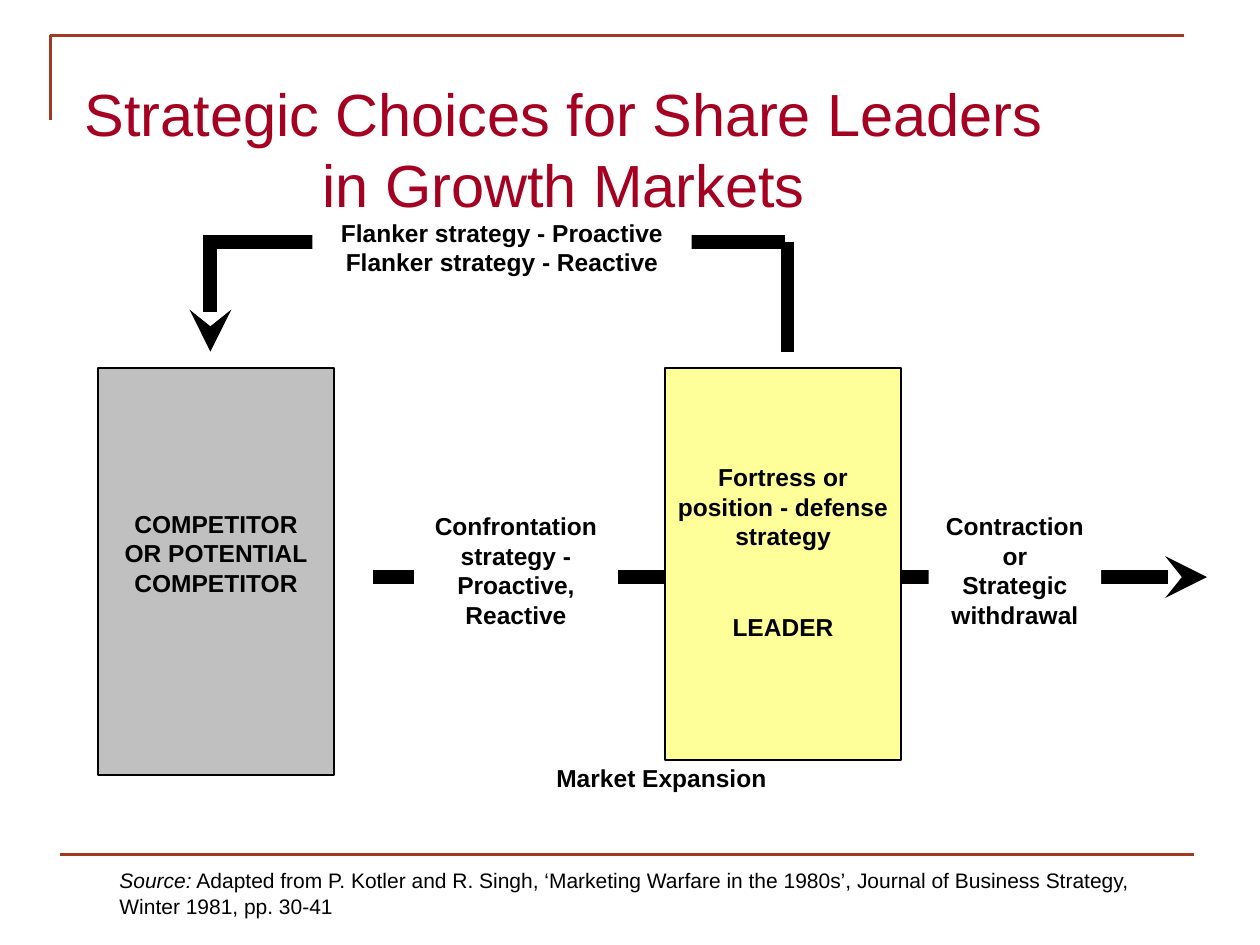
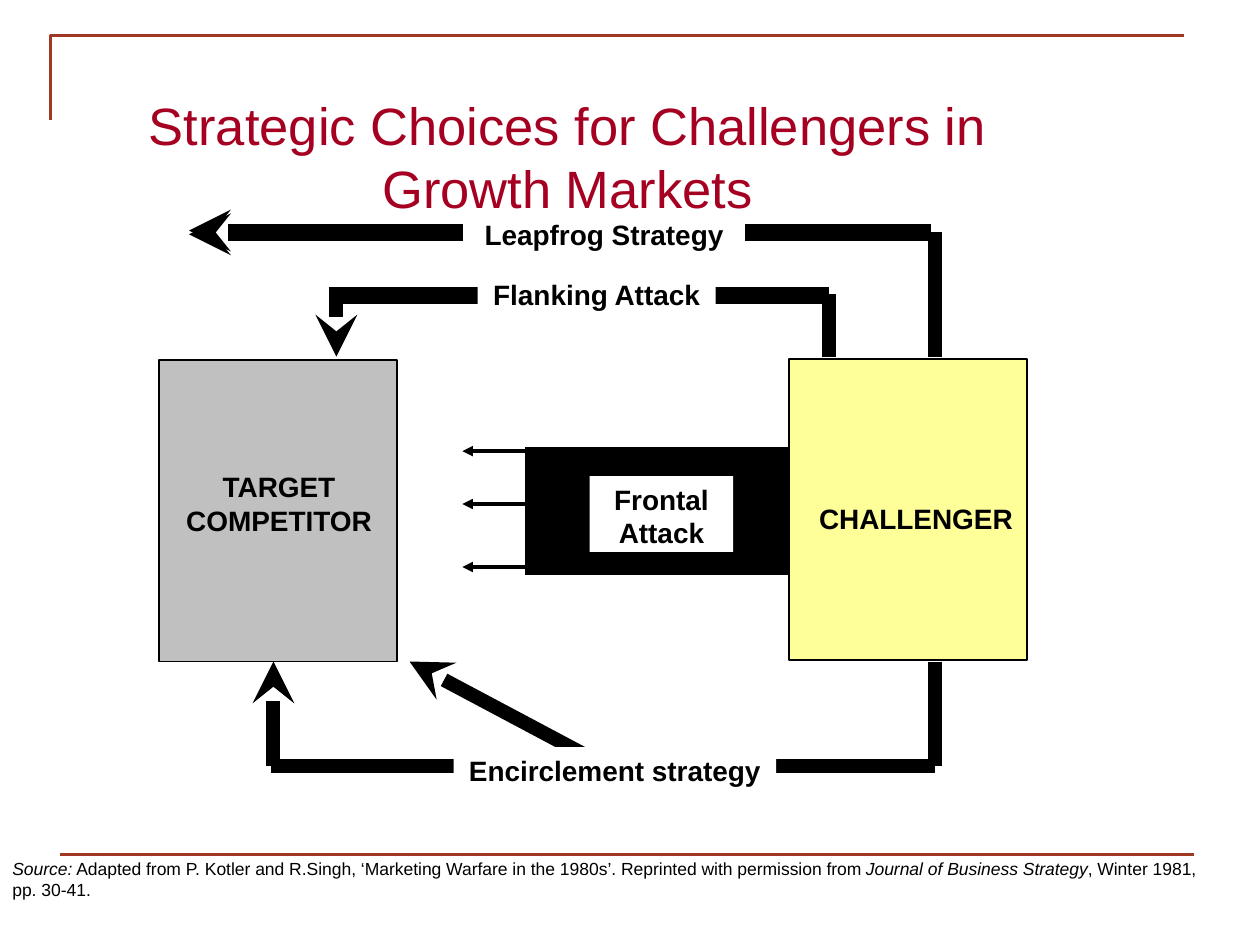
from dataclasses import dataclass

from lxml import etree
from pptx import Presentation
from pptx.dml.color import RGBColor
from pptx.enum.shapes import MSO_CONNECTOR, MSO_SHAPE
from pptx.enum.text import MSO_ANCHOR, MSO_AUTO_SIZE, PP_ALIGN
from pptx.oxml.ns import qn
from pptx.slide import Slide, SlideLayout
from pptx.util import Inches, Pt

FONT = "Arial"
COLORS = {
    "title": "A50021",
    "frame": "A03924",
    "ink": "000000",
    "rival": "C0C0C0",
    "own": "FFFF99",
    "paper": "FFFFFF",
}


@dataclass
class Run:
    text: str
    italic: bool = False


@dataclass
class Box:
    """A rectangle or plain text box; newlines in a paragraph are line breaks."""
    left: float
    top: float
    width: float
    height: float
    paragraphs: tuple[str, ...] = ()
    size: int = 14
    fill: str | None = None
    outline: str | None = None
    top_inset: float = 0.05
    space_before: int = 0


@dataclass
class Line:
    start: tuple[float, float]
    end: tuple[float, float]
    head: str | None = None
    width: float = 8
    color: str = "ink"


def rgb(name: str) -> RGBColor:
    return RGBColor.from_string(COLORS[name])


def add_run(paragraph, run: Run, size: int, bold: bool = False, color: str = "ink") -> None:
    added = paragraph.add_run()
    added.text = run.text
    font = added.font
    font.name, font.size, font.bold, font.italic = FONT, Pt(size), bold, run.italic
    font.color.rgb = rgb(color)


def prepare_frame(frame, side: float, top: float = 0.05) -> None:
    frame.word_wrap = True
    frame.auto_size = MSO_AUTO_SIZE.NONE
    frame.vertical_anchor = MSO_ANCHOR.TOP
    frame.margin_left = frame.margin_right = Inches(side)
    frame.margin_top, frame.margin_bottom = Inches(top), Inches(0.05)


def add_line(slide: Slide, line: Line):
    ends = [Inches(value) for value in (*line.start, *line.end)]
    connector = slide.shapes.add_connector(MSO_CONNECTOR.STRAIGHT, *ends)
    connector.line.color.rgb = rgb(line.color)
    connector.line.width = Pt(line.width)
    properties = connector.element.spPr
    etree.SubElement(properties, qn("a:effectLst"))
    if line.head:
        etree.SubElement(properties.find(qn("a:ln")), qn("a:tailEnd"), type=line.head)
    return connector


def add_box(slide: Slide, box: Box) -> None:
    bounds = [Inches(value) for value in (box.left, box.top, box.width, box.height)]
    if box.fill:
        shape = slide.shapes.add_shape(MSO_SHAPE.RECTANGLE, *bounds)
        shape.shadow.inherit = False
        shape.fill.solid()
        shape.fill.fore_color.rgb = rgb(box.fill)
        if box.outline:
            shape.line.color.rgb = rgb(box.outline)
            shape.line.width = Pt(1)
        else:
            shape.line.fill.background()
    else:
        shape = slide.shapes.add_textbox(*bounds)
    frame = shape.text_frame
    prepare_frame(frame, 0.05, box.top_inset)
    for index, text in enumerate(box.paragraphs):
        paragraph = frame.add_paragraph() if index else frame.paragraphs[0]
        paragraph.alignment = PP_ALIGN.CENTER
        if index:
            paragraph.space_before = Pt(box.space_before)
        for row, part in enumerate(text.split("\n")):
            if row:
                paragraph.add_line_break()
            add_run(paragraph, Run(part), box.size, bold=True)


def draw(slide: Slide, items: list[Line | Box]) -> None:
    for item in items:
        if isinstance(item, Line):
            add_line(slide, item)
        else:
            add_box(slide, item)


def add_title(slide: Slide, text: str, left: float, top: float, size: int) -> None:
    title = slide.shapes.title
    title.left, title.top = Inches(left), Inches(top)
    title.width, title.height = Inches(8.17), Inches(1.25)
    prepare_frame(title.text_frame, 0.1)
    title.text_frame.vertical_anchor = MSO_ANCHOR.MIDDLE
    paragraph = title.text_frame.paragraphs[0]
    paragraph.alignment = PP_ALIGN.CENTER
    add_run(paragraph, Run(text), size, color="title")


def add_source(slide: Slide, bounds: tuple[float, ...], size: int, runs: list[Run]) -> None:
    textbox = slide.shapes.add_textbox(*[Inches(value) for value in bounds])
    prepare_frame(textbox.text_frame, 0.1)
    for run in runs:
        add_run(textbox.text_frame.paragraphs[0], run, size)


def add_frame_to_layout(slide: Slide, layout: SlideLayout) -> None:
    """Draw the corner and footer rule on a slide, then move them to its layout."""
    builder = slide.shapes.build_freeform(Inches(0.4), Inches(0.95))
    builder.add_line_segments(
        [(Inches(0.4), Inches(0.28)), (Inches(9.4), Inches(0.28))], close=False
    )
    corner = builder.convert_to_shape()
    corner.shadow.inherit = False
    corner.fill.background()
    corner.line.color.rgb = rgb("frame")
    corner.line.width = Pt(1.5)
    rule = add_line(slide, Line((0.48, 6.78), (9.48, 6.78), width=1.5, color="frame"))
    for shape in (corner, rule):
        layout.shapes.element.append(shape.element)


def build_leaders(slide: Slide) -> None:
    add_title(slide, "Strategic Choices for Share Leaders in Growth Markets", 0.39, 0.55, 34)
    draw(slide, [
        Box(0.78, 2.92, 1.87, 3.23, ("COMPETITOR\nOR POTENTIAL\nCOMPETITOR",),
            fill="rival", outline="ink", top_inset=1.12),
        Line((2.96, 4.58), (9.58, 4.58), "stealth"),
        Box(7.37, 4.01, 1.37, 1.04, ("Contraction\nor\nStrategic\nwithdrawal",), fill="paper"),
        Box(3.29, 4.01, 1.61, 1.04, ("Confrontation strategy - Proactive, Reactive",),
            fill="paper", outline="paper"),
        Box(5.28, 2.92, 1.87, 3.11, ("Fortress or\nposition - defense\nstrategy", "LEADER"),
            fill="own", outline="ink", top_inset=0.75, space_before=35),
        Line((6.23, 1.92), (1.61, 1.92)),
        Line((1.67, 1.92), (1.67, 2.79), "stealth"),
        Line((6.25, 1.92), (6.25, 2.79)),
        Box(2.48, 1.68, 3.01, 0.57,
            ("Flanker strategy - Proactive\nFlanker strategy - Reactive",), fill="paper"),
        Box(4.01, 6.01, 2.48, 0.33, ("Market Expansion",)),
    ])
    add_source(slide, (0.85, 6.84, 8.64, 0.5), 12, [
        Run("Source:", italic=True),
        Run(" Adapted from P. Kotler and R. Singh, ‘Marketing Warfare in the 1980s’, "
            "Journal of Business Strategy, Winter 1981, pp. 30-41"),
    ])


def build_challengers(slide: Slide) -> None:
    add_title(slide, "Strategic Choices for Challengers in Growth Markets", 0.42, 0.61, 30)
    leapfrog = [Line((7.39, y), (1.5, y), "stealth") for y in (1.86, 1.83)]
    flanking = [Line((2.61, y), (6.58, y)) for y in (2.36, 2.33)]
    row_gap = (4.51 - 3.6) / 11
    frontal_block = [
        Line((4.17, 3.6 + row * row_gap), (6.25, 3.6 + row * row_gap)) for row in range(12)
    ]
    frontal_arrows = [
        Line((4.17, y), (3.67, y), "triangle", width=2) for y in (3.58, 4, 4.5)
    ]
    draw(slide, [
        Line((4.66, 6), (3.25, 5.25), "stealth"),
        *leapfrog,
        Box(1.26, 2.86, 1.89, 2.39, fill="rival", outline="ink"),
        Box(1.35, 3.68, 1.73, 0.63, ("TARGET COMPETITOR",), 16),
        Box(6.26, 2.85, 1.89, 2.39, fill="own", outline="ink"),
        Box(6.35, 3.93, 1.84, 0.37, ("CHALLENGER",), 16),
        *flanking,
        Box(3.79, 2.15, 1.89, 0.37, ("Flanking Attack",), 16, "paper"),
        Box(3.68, 1.68, 2.23, 0.37, ("Leapfrog Strategy",), 16, "paper", "paper"),
        *frontal_block,
        Box(4.68, 3.78, 1.14, 0.6, ("Frontal\nAttack",), 16, "paper"),
        *frontal_arrows,
        Line((6.58, 2.33), (6.58, 2.83)),
        Line((2.67, 2.33), (2.67, 2.83), "stealth"),
        Line((7.42, 1.84), (7.42, 2.83)),
        Line((2.15, 6.08), (7.42, 6.08)),
        Line((7.42, 5.25), (7.42, 6.08)),
        Line((2.17, 6.08), (2.17, 5.25), "stealth"),
        Box(3.6, 5.93, 2.56, 0.37, ("Encirclement strategy",), 16, "paper"),
    ])
    add_source(slide, (0, 6.76, 9.64, 0.44), 10, [
        Run("Source:", italic=True),
        Run(" Adapted from P. Kotler and R.Singh, ‘Marketing Warfare in the 1980s’. "
            "Reprinted with permission from "),
        Run("Journal of Business Strategy", italic=True),
        Run(", Winter 1981, pp. 30-41."),
    ])


def main() -> None:
    presentation = Presentation()
    presentation.slide_width, presentation.slide_height = Inches(10), Inches(7.5)
    layout = presentation.slide_layouts[5]
    leaders, challengers = [presentation.slides.add_slide(layout) for _ in range(2)]
    add_frame_to_layout(leaders, layout)
    build_leaders(leaders)
    build_challengers(challengers)
    presentation.save("out.pptx")


if __name__ == "__main__":
    main()
